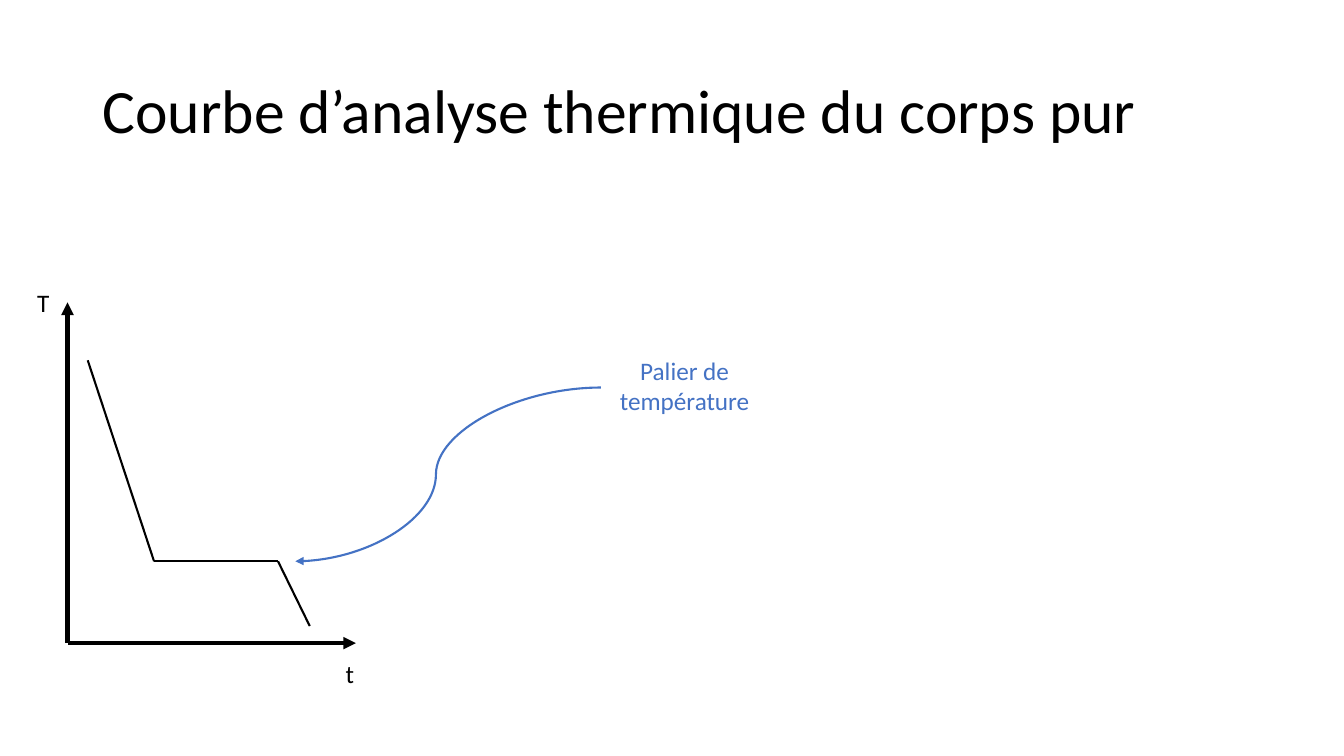
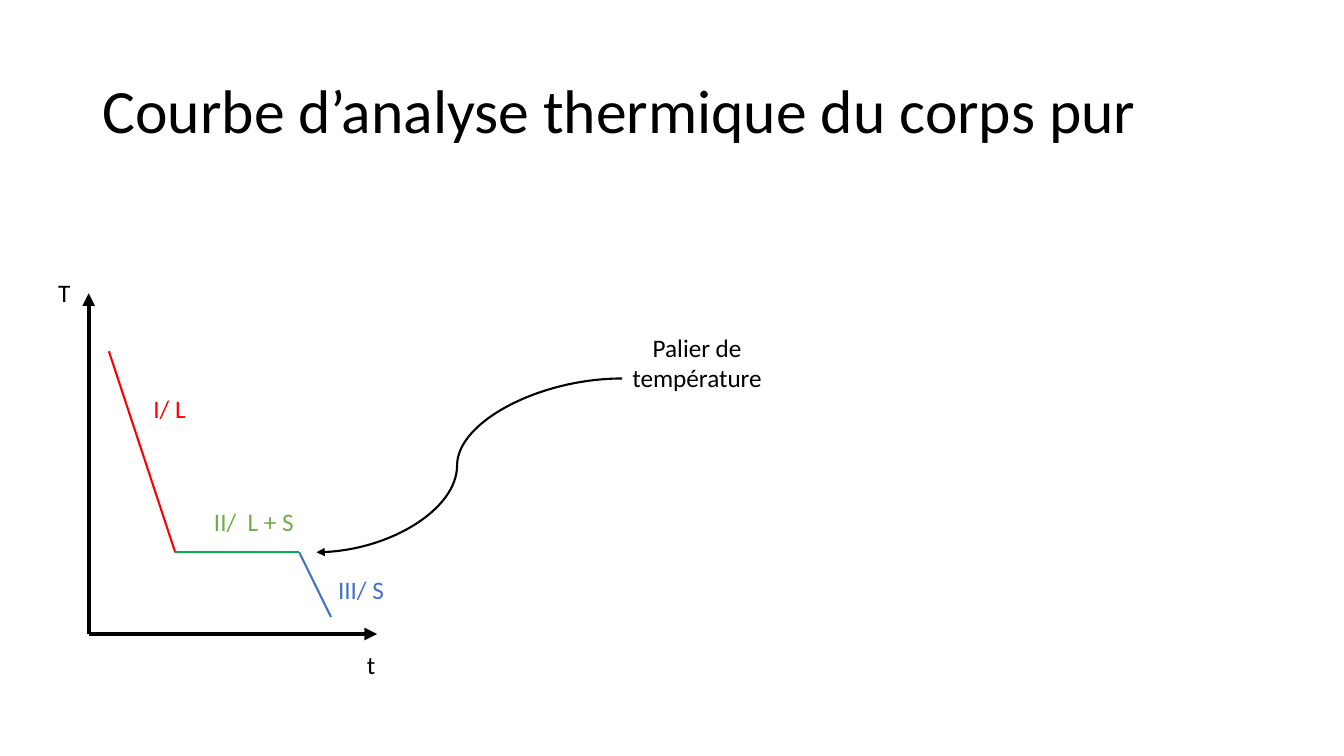
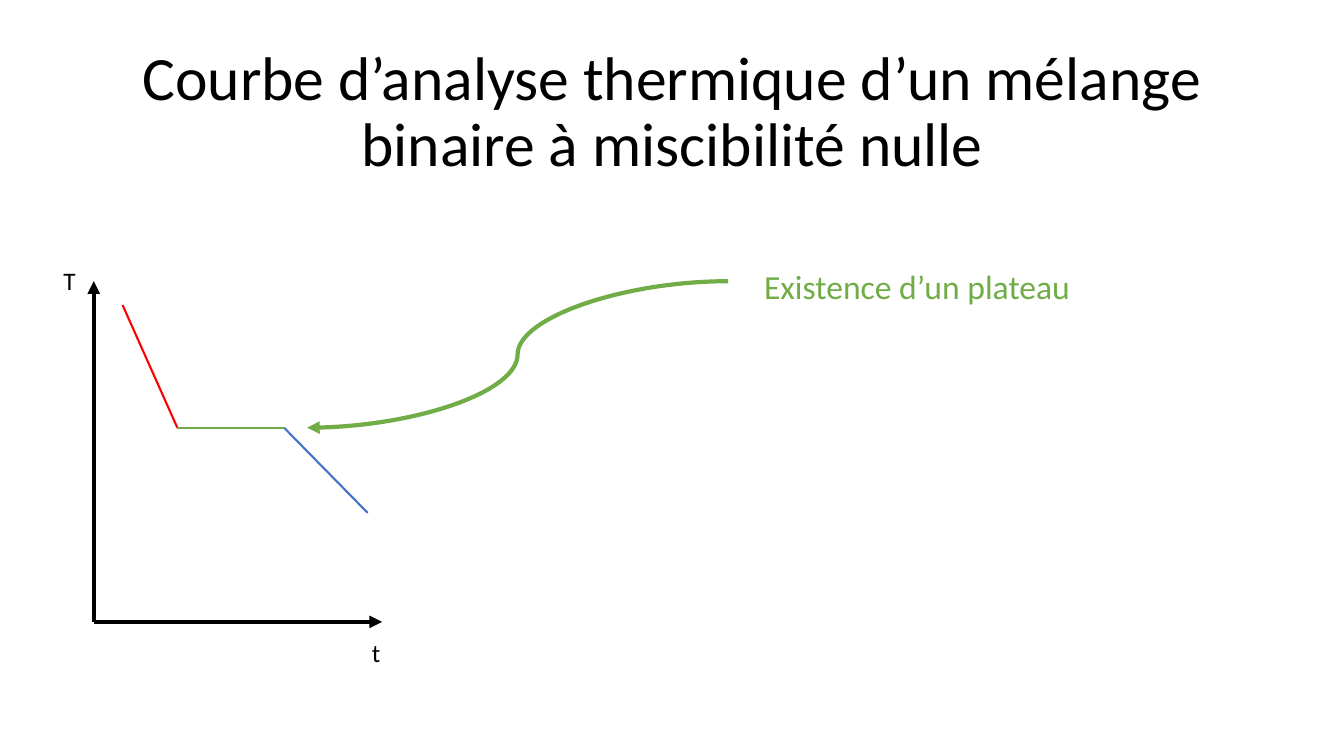
from itertools import pairwise

from lxml.etree import SubElement
from pptx import Presentation
from pptx.dml.color import RGBColor
from pptx.enum.shapes import MSO_CONNECTOR
from pptx.enum.text import MSO_ANCHOR, PP_ALIGN
from pptx.oxml.ns import qn
from pptx.util import Inches, Pt

COLORS = {"black": "000000", "red": "FF0000", "green": "70AD47",
          "emerald": "00B050", "blue": "4472C4"}
FONT = "Calibri"
TITLE_BOX = (0.92, 0.4, 11.5, 1.45)
AXES_SIZE = (2.86, 3.38)
PURE_TITLE = "Courbe d’analyse thermique du corps pur"
PURE_CURVE = [(0.07, 0.17), (0.3, 0.76), (0.73, 0.76), (0.84, 0.95)]
PURE_POINTER = [(1.85, 0.25), (0.79, 0.76)]
PURE_NOTE = "Palier de température"
MIX_CURVE = [(0.1, 0.07), (0.29, 0.43), (0.66, 0.43), (0.95, 0.68)]


def place(box, x, y):
    """Turn shares of a box into a position on the slide."""
    left, top, width, height = box
    return left + x * width, top + y * height


def add_text(s, box, text, size=18, color="black", align=PP_ALIGN.LEFT):
    """Add a wrapped text box with one run."""
    tf = s.shapes.add_textbox(*map(Inches, box)).text_frame
    tf.word_wrap = True
    p = tf.paragraphs[0]
    p.alignment = align
    r = p.add_run()
    r.text = text
    r.font.name, r.font.size = FONT, Pt(size)
    r.font.color.rgb = RGBColor.from_string(COLORS[color])
    return tf


def add_line(s, box, start, end, color="black", width=1.5, arrow=False,
             kind=MSO_CONNECTOR.STRAIGHT):
    """Join two points of a box, with an optional arrowhead at the end."""
    ends = place(box, *start) + place(box, *end)
    line = s.shapes.add_connector(kind, *map(Inches, ends))
    line.line.width = Pt(width)
    line.line.color.rgb = RGBColor.from_string(COLORS[color])
    if arrow:
        SubElement(line.line._get_or_add_ln(), qn("a:tailEnd"), type="triangle")
    SubElement(line._element.spPr, qn("a:effectLst"))
    return line


def add_title(s, text, align=PP_ALIGN.LEFT):
    """Add the slide title."""
    tf = add_text(s, TITLE_BOX, text, 44, align=align)
    tf.vertical_anchor = MSO_ANCHOR.MIDDLE
    tf.paragraphs[0].line_spacing = 0.9


def add_label(s, box, at, text, share=(0.39, 0.12), **style):
    """Add a text placed and sized in shares of a box."""
    size = (share[0] * box[2], share[1] * box[3])
    add_text(s, place(box, *at) + size, text, **style)


def add_plot(s, box, points, colors):
    """Draw the cooling curve with its two named axes."""
    for (start, end), color in zip(pairwise(points), colors):
        add_line(s, box, start, end, color)
    for end in ((0, 0), (1, 1)):
        add_line(s, box, (0, 1), end, width=3, arrow=True)
    for text, at in (("T", (-0.14, -0.06)), ("t", (0.93, 1.03))):
        add_label(s, box, at, text, (0.21, 0.12))


def add_pointer(s, box, ends, color, width=1.5, bend=0.5):
    """Draw the curved arrow that leads to the plateau."""
    line = add_line(s, box, *ends, color, width, True, MSO_CONNECTOR.CURVE)
    guides = line._element.spPr.find(qn("a:prstGeom")).get_or_add_avLst()
    SubElement(guides, qn("a:gd"), name="adj1", fmla=f"val {round(bend * 100000)}")


def add_pure_slide(prs, corner, colors, note_at, note_color, phases=()):
    """Build a slide on the pure substance."""
    s = prs.slides.add_slide(prs.slide_layouts[6])
    box = corner + AXES_SIZE
    add_plot(s, box, PURE_CURVE, colors)
    add_pointer(s, box, PURE_POINTER, note_color, bend=0.54)
    add_label(s, box, note_at, PURE_NOTE, (0.58, 0.21), color=note_color,
              align=PP_ALIGN.CENTER)
    for text, at, color in phases:
        add_label(s, box, at, text, color=color)
    add_title(s, PURE_TITLE)


def add_mixture_slide(prs, corner):
    """Build the slide on the binary mixture."""
    s = prs.slides.add_slide(prs.slide_layouts[6])
    box = corner + AXES_SIZE
    add_plot(s, box, MIX_CURVE, ("red", "green", "blue"))
    add_title(s, "Courbe d’analyse thermique d’un mélange binaire "
                 "à miscibilité nulle", PP_ALIGN.CENTER)
    add_pointer(s, box, [(2.2, 0), (0.74, 0.43)], "green", 3)
    add_label(s, box, (2.29, -0.06), "Existence d’un plateau", (1.18, 0.15),
              size=24, color="green")


prs = Presentation()
prs.slide_width, prs.slide_height = Inches(13.33), Inches(7.5)
add_pure_slide(prs, (0.67, 3), ["black"] * 3, (1.85, 0.14), "blue")
add_pure_slide(prs, (0.88, 2.91), ("red", "emerald", "blue"), (1.82, 0.1), "black",
               [("I/ L", (0.19, 0.28), "red"),
                ("III/ S", (0.83, 0.81), "blue"),
                ("II/  L + S", (0.4, 0.61), "green")])
add_mixture_slide(prs, (0.93, 2.79))
prs.save("out.pptx")
